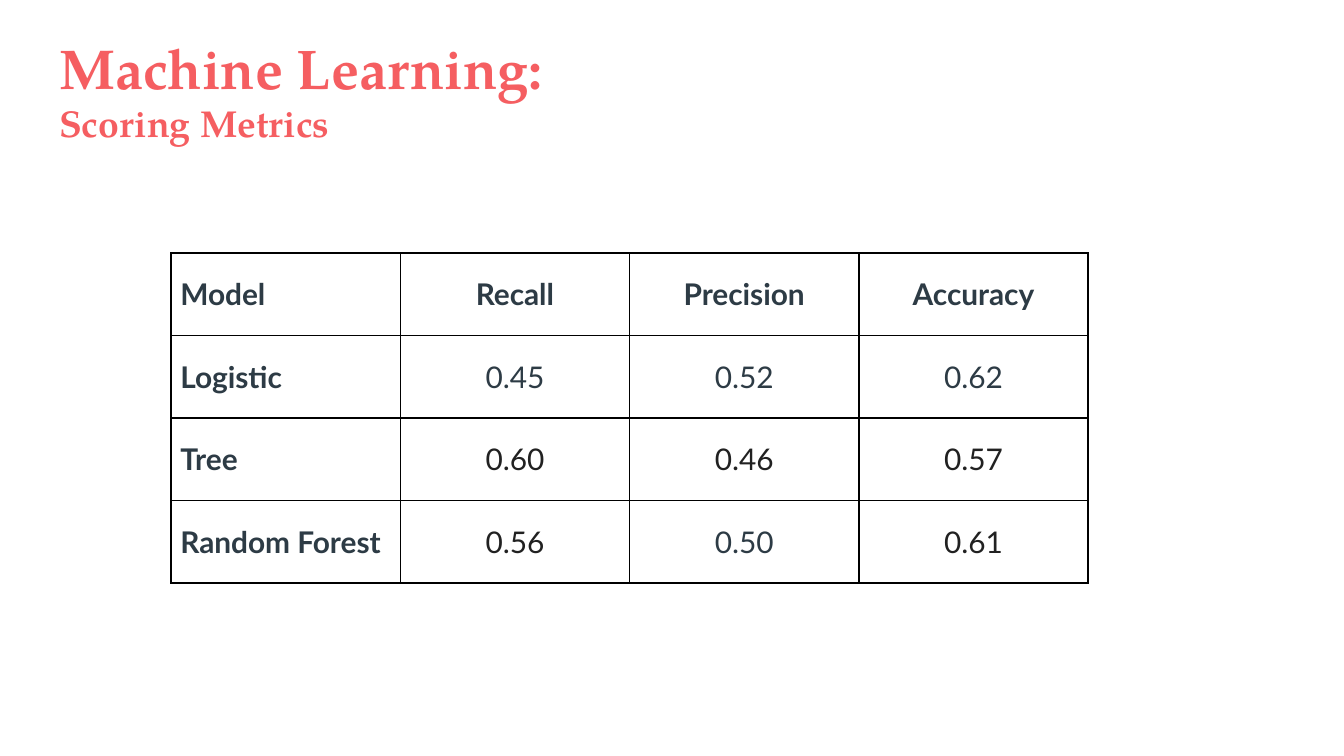
"""Build a slide that compares the scoring metrics of three models in a table."""
import dataclasses

import lxml.etree
import pptx
import pptx.dml.color
import pptx.enum.text
import pptx.oxml.ns
import pptx.util

ALIGN = pptx.enum.text.PP_ALIGN
ANCHOR = pptx.enum.text.MSO_ANCHOR


@dataclasses.dataclass(frozen=True)
class Theme:
    title_font: str = "TeX Gyre Pagella"
    table_font: str = "Lato"
    coral: str = "F55E61"
    slate: str = "2D3B45"
    ink: str = "212121"
    border: str = "000000"
    background: str = "FFFFFF"
    title_size: int = 30
    subtitle_size: int = 20
    table_size: int = 16
    border_width: int = 1


@dataclasses.dataclass(frozen=True)
class Box:
    """Hold a place as percentages of the slide's width and height."""
    left: float
    top: float
    width: float
    height: float

    def lengths(self) -> tuple[int, ...]:
        return (int(WIDTH * self.left / 100), int(HEIGHT * self.top / 100),
                int(WIDTH * self.width / 100), int(HEIGHT * self.height / 100))


@dataclasses.dataclass(frozen=True)
class Score:
    model: str
    values: tuple[str, ...]
    colors: tuple[str, ...]


THEME = Theme()
WIDTH = pptx.util.Inches(10)
HEIGHT = WIDTH * 9 // 16
TITLE_BOX = Box(left=3.4, top=10.8, width=57.3, height=10.2)
TABLE_BOX = Box(left=12.73, top=33.48, width=68.24, height=43.7)
TITLE_INSET = pptx.util.Inches(0.1)
CELL_INSET = pptx.util.Inches(0.07)
HEADER = ("Model", "Recall", "Precision", "Accuracy")
SCORES = (
    Score("Logistic", ("0.45", "0.52", "0.62"), (THEME.slate,) * 3),
    Score("Tree", ("0.60", "0.46", "0.57"), (THEME.ink,) * 3),
    Score("Random Forest", ("0.56", "0.50", "0.61"), (THEME.ink, THEME.slate, THEME.ink)),
)


def write(p, text: str, *, font: str, size: float, color: str, bold: bool = False,
          align: ALIGN = ALIGN.LEFT) -> None:
    p.alignment = align
    r = p.add_run()
    r.text = text
    r.font.name, r.font.size, r.font.bold = font, pptx.util.Pt(size), bold
    r.font.color.rgb = pptx.dml.color.RGBColor.from_string(color)


def add_title(s, title: str, subtitle: str) -> None:
    sp = s.shapes.title
    sp.left, sp.top, sp.width, sp.height = TITLE_BOX.lengths()
    tf = sp.text_frame
    tf.auto_size = pptx.enum.text.MSO_AUTO_SIZE.NONE
    tf.word_wrap = True
    tf.vertical_anchor = ANCHOR.BOTTOM
    tf.margin_left = tf.margin_right = tf.margin_top = tf.margin_bottom = TITLE_INSET
    style = dict(font=THEME.title_font, color=THEME.coral, bold=True)
    write(tf.paragraphs[0], title, size=THEME.title_size, **style)
    write(tf.add_paragraph(), subtitle, size=THEME.subtitle_size, **style)


def add_borders(cell) -> None:
    qn = pptx.oxml.ns.qn
    props = cell._tc.get_or_add_tcPr()
    for i, side in enumerate(("lnL", "lnR", "lnT", "lnB")):
        line = lxml.etree.Element(qn(f"a:{side}"), w=str(pptx.util.Pt(THEME.border_width)))
        fill = lxml.etree.SubElement(line, qn("a:solidFill"))
        lxml.etree.SubElement(fill, qn("a:srgbClr"), val=THEME.border)
        props.insert(i, line)


def fill_cell(cell, text: str, *, color: str, bold: bool, align: ALIGN) -> None:
    cell.fill.background()
    cell.vertical_anchor = ANCHOR.MIDDLE
    cell.margin_left = cell.margin_right = cell.margin_top = cell.margin_bottom = CELL_INSET
    write(cell.text_frame.paragraphs[0], text, font=THEME.table_font,
          size=THEME.table_size, color=color, bold=bold, align=align)
    add_borders(cell)


def add_scores(s, header: tuple[str, ...], scores: tuple[Score, ...]) -> None:
    rows, cols = len(scores) + 1, len(header)
    table = s.shapes.add_table(rows, cols, *TABLE_BOX.lengths()).table
    table.first_row = table.horz_banding = False
    lines = [(header, (THEME.slate,) * cols)]
    lines += [((x.model, *x.values), (THEME.slate, *x.colors)) for x in scores]
    for i, (texts, colors) in enumerate(lines):
        for j, (text, color) in enumerate(zip(texts, colors)):
            fill_cell(table.cell(i, j), text, color=color, bold=i == 0 or j == 0,
                      align=ALIGN.CENTER if j else ALIGN.LEFT)


def main() -> None:
    prs = pptx.Presentation()
    prs.slide_width, prs.slide_height = WIDTH, HEIGHT
    s = prs.slides.add_slide(prs.slide_layouts.get_by_name("Title Only"))
    s.background.fill.solid()
    s.background.fill.fore_color.rgb = pptx.dml.color.RGBColor.from_string(THEME.background)
    add_title(s, "Machine Learning:", "Scoring Metrics")
    add_scores(s, HEADER, SCORES)
    prs.save("out.pptx")


if __name__ == "__main__":
    main()
